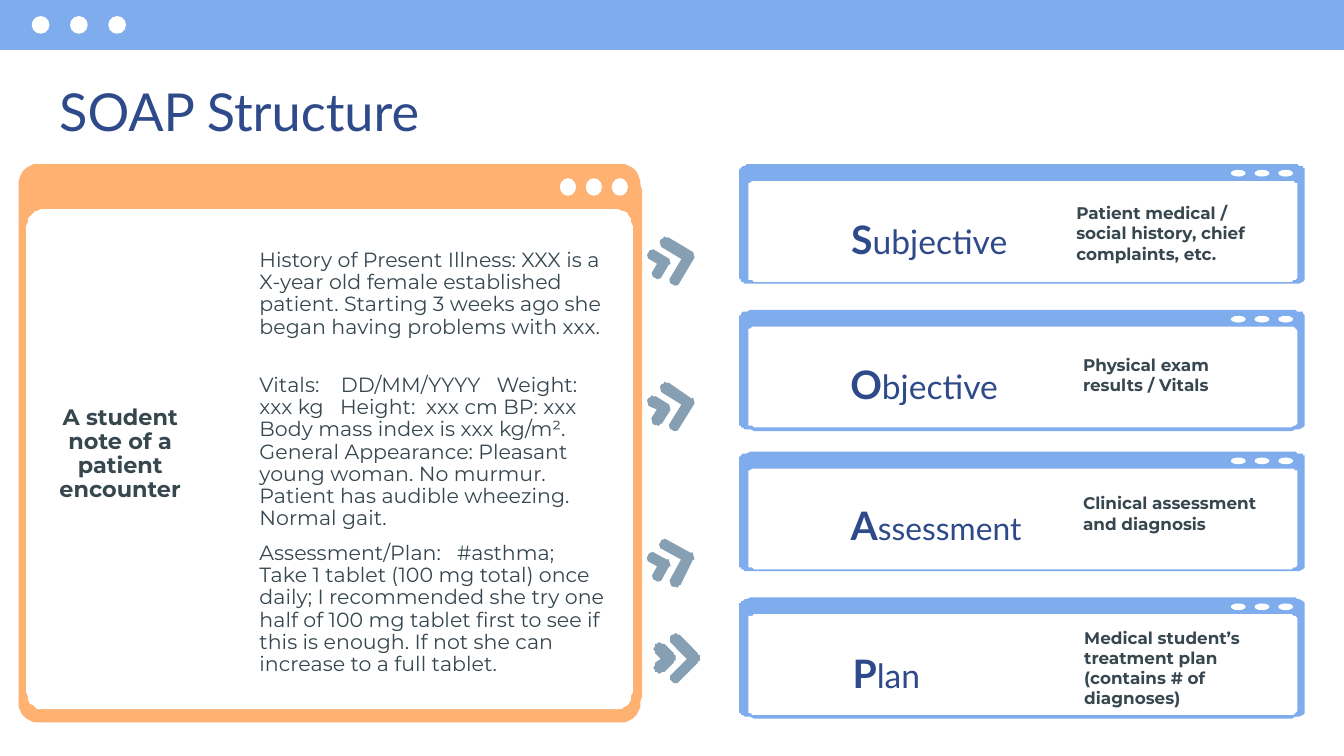
from math import cos, radians, sin, sqrt

from pptx import Presentation
from pptx.dml.color import RGBColor
from pptx.enum.shapes import MSO_SHAPE
from pptx.enum.text import MSO_ANCHOR, PP_ALIGN
from pptx.util import Pt

COLORS = {
    "blue": "7EACEC",
    "orange": "FFB172",
    "white": "FFFFFF",
    "arrow": "869FB2",
    "heading": "2F4A8A",
    "body": "37474F",
}

TITLE = "SOAP Structure"
NOTE_LABEL = "A student note of a patient encounter"

# Top and height of each excerpt, then its paragraphs
EXCERPTS = [
    (130.3, 56.2, ["History of Present Illness: XXX is a X-year old female established "
                   "patient. Starting 3 weeks ago she began having problems with xxx."]),
    (197.3, 75.6, ["Vitals:    DD/MM/YYYY   Weight:",
                   "xxx kg   Height:  xxx cm BP: xxx Body mass index is xxx kg/m².",
                   "General Appearance: Pleasant young woman. No murmur. "
                   "Patient has audible wheezing. Normal gait."]),
    (287.3, 81.4, ["Assessment/Plan:   #asthma; Take 1 tablet (100 mg total) once daily; "
                   "I recommended she try one half of 100 mg tablet first to see if this "
                   "is enough. If not she can increase to a full tablet."]),
]

# Card top, initial, rest of word, rest size, label box, description, description box
CARDS = [
    (87.9, "S", "ubjective", 18, (444.2, 108, 107.3, 31),
     "Patient medical / social history, chief complaints, etc.", (569.5, 101.5, 111.6, 36.7)),
    (166.1, "O", "bjective", 18, (441.4, 185.8, 107.3, 31),
     "Physical exam results / Vitals", (573.1, 182.9, 111.6, 36.7)),
    (242, "A", "ssessment", 17, (445.7, 261.4, 111.6, 31),
     "Clinical assessment and diagnosis", (573.1, 257, 111.6, 36.7)),
    (320.2, "P", "lan", 18, (421.2, 340.6, 107.3, 31),
     "Medical student’s treatment plan (contains # of diagnoses)", (573.8, 329, 110.9, 54)),
]

# Left and top of the large and the small chevron, then rotation
ARROWS = [
    ((355.7, 125.3), (347.8, 133.2), 345.8),
    ((355.7, 203.4), (347.8, 211.3), 346.9),
    ((355.7, 286.9), (347.8, 294.8), 343.7),
    ((358.6, 339.3), (350.3, 344.5), 0),
]
CHEVRON_SIZES = [(16.4, 26.6), (11.5, 16.2)]
CHEVRON_RADIUS = 3.1

presentation = Presentation()
presentation.slide_width, presentation.slide_height = Pt(720), Pt(405)
slide = presentation.slides.add_slide(presentation.slide_layouts[6])


def paint(shape, color):
    shape.shadow.inherit = False
    shape.fill.solid()
    shape.fill.fore_color.rgb = RGBColor.from_string(COLORS[color])
    shape.line.fill.background()


def add_outline(points, color):
    builder = slide.shapes.build_freeform(*points[0], scale=Pt(1))
    builder.add_line_segments(points[1:], close=True)
    shape = builder.convert_to_shape()
    paint(shape, color)
    return shape


def arc(center_x, center_y, radius_x, radius_y, start, end, steps=8):
    angles = [radians(start + (end - start) * i / steps) for i in range(steps + 1)]
    return [(center_x + radius_x * cos(a), center_y + radius_y * sin(a)) for a in angles]


def add_rounded_panel(left, top, width, height, radius_x, radius_y, color):
    """Panel whose corners are quarter ellipses."""
    x1, x2 = left + radius_x, left + width - radius_x
    y1, y2 = top + radius_y, top + height - radius_y
    points = []
    for x, y, start in [(x1, y1, 180), (x2, y1, 270), (x2, y2, 0), (x1, y2, 90)]:
        points += arc(x, y, radius_x, radius_y, start, start + 90)
    add_outline(points, color)


def add_dots(left, top, width, height, pitch):
    for i in range(3):
        dot = slide.shapes.add_shape(
            MSO_SHAPE.OVAL, Pt(left + i * pitch), Pt(top), Pt(width), Pt(height))
        paint(dot, "white")


def add_chevron(left, top, width, height, rotation):
    """Two 45-degree arms with round ends and a round tip."""
    r = CHEVRON_RADIUS
    tip_x, middle = left + width - r, top + height / 2
    points = arc(left + r, top + r, r, r, 135, 315)
    points += arc(tip_x, middle, r, r, -45, 45)
    points += arc(left + r, top + height - r, r, r, 45, 225)
    points.append((tip_x - r * sqrt(2), middle))
    add_outline(points, "arrow").rotation = rotation


def add_text(box, paragraphs, font, color, inset=7.2, align=PP_ALIGN.LEFT, spacing=None,
             anchor=MSO_ANCHOR.TOP):
    """Each paragraph is a list of (text, size, bold) runs."""
    frame = slide.shapes.add_textbox(*map(Pt, box)).text_frame
    frame.word_wrap = True
    frame.vertical_anchor = anchor
    frame.margin_left = frame.margin_right = Pt(inset)
    frame.margin_top = frame.margin_bottom = Pt(inset)
    for i, runs in enumerate(paragraphs):
        paragraph = frame.paragraphs[0] if i == 0 else frame.add_paragraph()
        paragraph.alignment = align
        paragraph.line_spacing = spacing
        for text, size, bold in runs:
            run = paragraph.add_run()
            run.text = text
            run.font.name, run.font.size, run.font.bold = font, Pt(size), bold
            run.font.color.rgb = RGBColor.from_string(COLORS[color])


# Browser bar and title
bar = slide.shapes.add_shape(MSO_SHAPE.RECTANGLE, 0, 0, Pt(720), Pt(26.8))
paint(bar, "blue")
add_dots(17, 8.6, 9.5, 9.5, 20.5)
add_text((-38.9, 35.3, 334, 67), [[(TITLE, 28, False)]], "Lato", "heading",
         align=PP_ALIGN.CENTER)

# Student note window
add_rounded_panel(9.5, 87.9, 334, 299.5, 10, 14, "orange")
add_rounded_panel(14.2, 112.5, 324.7, 267.4, 7.5, 10.8, "white")
add_dots(299.9, 95.5, 8.7, 9.4, 13.9)
add_text((26.6, 213.1, 75.6, 60.5), [[(NOTE_LABEL, 12, True)]], "Montserrat", "body",
         inset=4.3, align=PP_ALIGN.CENTER, spacing=0.9, anchor=MSO_ANCHOR.MIDDLE)
for top, height, texts in EXCERPTS:
    add_text((135.4, top, 193, height), [[(text, 11, False)] for text in texts],
             "Montserrat", "body", inset=3.6, spacing=0.9)

# SOAP cards
for top, initial, rest, rest_size, label_box, description, description_box in CARDS:
    add_rounded_panel(396.5, top, 302.5, 64.5, 8.8, 3, "blue")
    add_rounded_panel(400.8, top + 8.7, 294.2, 54.3, 6.8, 2.2, "white")
    add_dots(659.4, top + 3.1, 8, 3.6, 12.7)
    add_text(label_box, [[(initial, 21, True), (rest, rest_size, False)]], "Lato", "heading",
             align=PP_ALIGN.CENTER)
    add_text(description_box, [[(description, 9, True)]], "Montserrat", "body")

# Arrows from the note to the cards
for large, small, rotation in ARROWS:
    for position, size in zip((large, small), CHEVRON_SIZES):
        add_chevron(*position, *size, rotation)

presentation.save("out.pptx")
